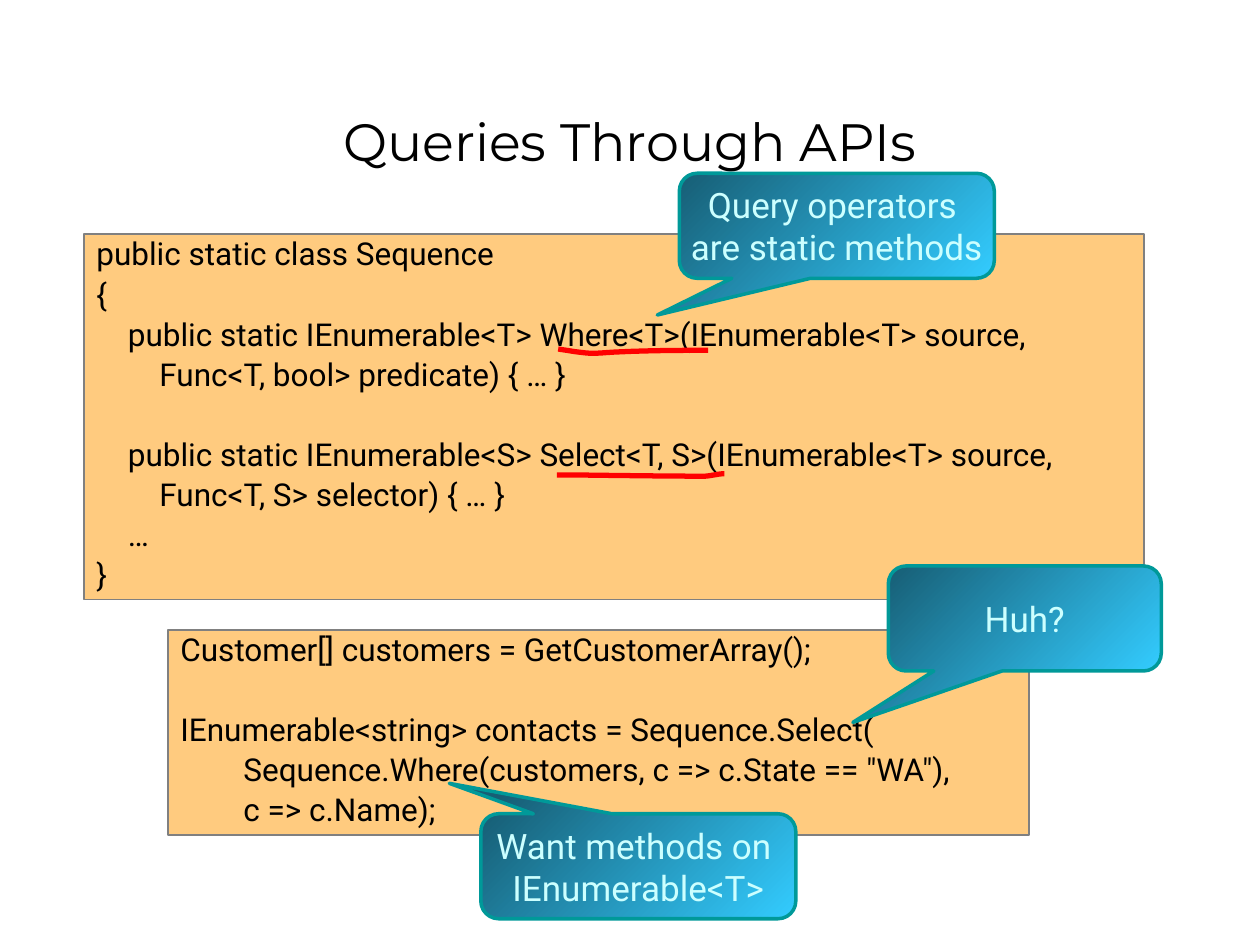
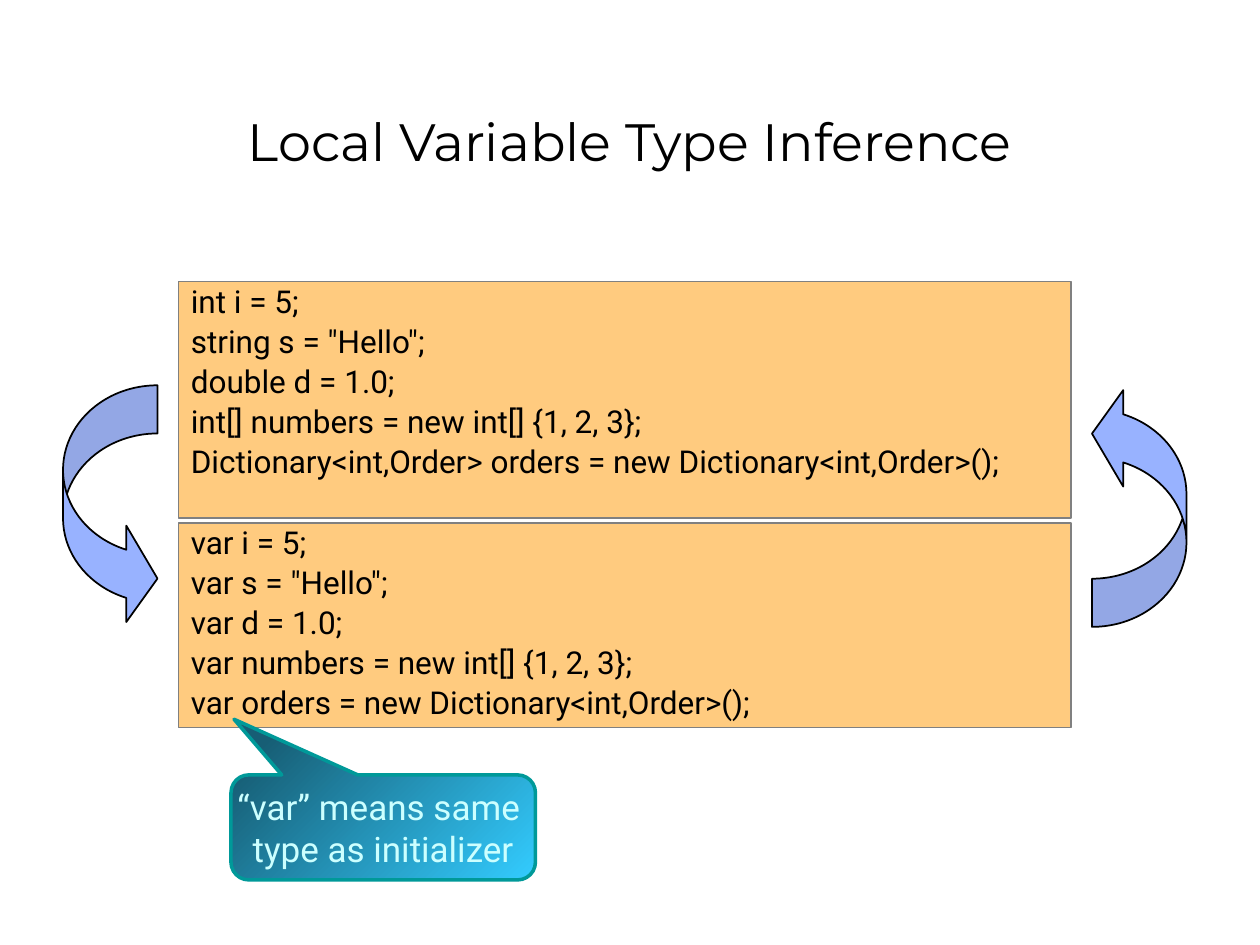
import pptx
import pptx.util
import pptx.dml.color
import pptx.enum.shapes
import pptx.enum.text
import pptx.oxml
import pptx.oxml.ns

Pt = pptx.util.Pt
Rgb = pptx.dml.color.RGBColor.from_string
Kind = pptx.enum.shapes.MSO_SHAPE
Align = pptx.enum.text.PP_ALIGN
Mid = pptx.enum.text.MSO_ANCHOR.MIDDLE
Top = pptx.enum.text.MSO_ANCHOR.TOP

hues = {"ink": "000000", "code": "FF9900", "edge": "808080", "mark": "FF0000",
        "arrow": "3366FF", "light": "33CCFF", "dark": "175E75",
        "rim": "009999", "note": "CCFFFF"}

deck = pptx.Presentation()
deck.slide_width = pptx.util.Inches(10)
deck.slide_height = pptx.util.Inches(7.5)
cell = deck.slide_width / 120
level = 3 * cell
blank = 22.8

pages = [
    {
        "title": "Queries Through APIs",
        "code": [
            ((8, 22.3, 101, 34.8), [
                (0, "public static class Sequence"),
                (0, "{"),
                (1, "public static IEnumerable<T> Where<T>(IEnumerable<T> source,"),
                (2, "Func<T, bool> predicate) { … }"),
                (0, ""),
                (1, "public static IEnumerable<S> Select<T, S>(IEnumerable<T> source,"),
                (2, "Func<T, S> selector) { … }"),
                (1, "…"),
                (0, "}")]),
            ((16, 60, 82, 19.5), [
                (0, "Customer[] customers = GetCustomerArray();"),
                (0, ""),
                (0, "IEnumerable<string> contacts = Sequence.Select("),
                (2, "Sequence.Where(customers, c => c.State == \"WA\"),"),
                (2, "c => c.Name);")]),
        ],
        "marks": [
            [[(53.16, 33.24), (58.56, 34.08), (53.88, 33.36), (67.44, 33.36)]],
            [[(53.04, 45.24), (57.72, 45.24), (62.28, 45.36), (66.96, 45.36)],
             [(66.96, 45.36), (67.68, 45.36), (68.28, 45.12), (69, 45.12)]],
        ],
        "arrows": [],
        "notes": [
            ((64.7, 16.5, 30, 10), (-0.57, 0.85), ["Query operators ", "are static methods"]),
            ((84.6, 53.9, 26, 10), (-0.63, 0.99), ["Huh?"]),
            ((45.8, 77.5, 30, 10), (-0.6, -0.79), ["Want methods on ", "IEnumerable<T>"]),
        ],
    },
    {
        "title": "Local Variable Type Inference",
        "code": [
            ((17, 26.8, 85, 22.5), [
                (0, "int i = 5;"),
                (0, "string s = \"Hello\";"),
                (0, "double d = 1.0;"),
                (0, "int[] numbers = new int[] {1, 2, 3};"),
                (0, "Dictionary<int,Order> orders = new Dictionary<int,Order>();")]),
            ((17, 49.8, 85, 19.5), [
                (0, "var i = 5;"),
                (0, "var s = \"Hello\";"),
                (0, "var d = 1.0;"),
                (0, "var numbers = new int[] {1, 2, 3};"),
                (0, "var orders = new Dictionary<int,Order>();")]),
        ],
        "marks": [],
        "arrows": [(6, 0), (104, 180)],
        "notes": [
            ((22, 73.8, 29, 10), (-0.49, -1.03), ["“var” means same ", "type as initializer"]),
        ],
    },
]


def draw(page, kind, box, line, width, fill=None):
    shape = page.shapes.add_shape(kind, *[round(n * cell) for n in box])
    shape.shadow.inherit = False
    shape.line.color.rgb = Rgb(hues[line])
    shape.line.width = Pt(width)
    if fill:
        shape.fill.solid()
        shape.fill.fore_color.rgb = Rgb(hues[fill])
        tint = shape.fill._xPr.find(".//" + pptx.oxml.ns.qn("a:srgbClr"))
        alpha = tint.makeelement(pptx.oxml.ns.qn("a:alpha"), {"val": "50000"})
        tint.append(alpha)
    return shape


def write(shape, rows, face, size, hue, align, anchor, wrap=True, lead=1.0, gap=0):
    frame = shape.text_frame
    frame.word_wrap = wrap
    frame.vertical_anchor = anchor
    para, extra = frame.paragraphs[0], 0
    for depth, text in rows:
        if not text:
            extra = blank
            continue
        if para.runs:
            para = frame.add_paragraph()
        para.text = text
        para.alignment = align
        para.line_spacing = lead
        para.space_before = Pt(gap + extra)
        para.font.name = face
        para.font.size = Pt(size)
        para.font.color.rgb = Rgb(hues[hue])
        if depth:
            para._p.get_or_add_pPr().set("marL", str(round(depth * level)))
        extra = 0


for data in pages:
    page = deck.slides.add_slide(deck.slide_layouts[6])

    head = page.shapes.add_textbox(0, round(6.4 * cell), deck.slide_width, round(15 * cell))
    write(head, [(0, data["title"])], "Montserrat", 30, "ink", Align.CENTER, Mid, lead=0.8)

    for box, rows in data["code"]:
        panel = draw(page, Kind.RECTANGLE, box, "edge", 1, "code")
        write(panel, rows, "Roboto", 18, "ink", Align.LEFT, Top, lead=0.85, gap=4.5)

    for curves in data["marks"]:
        dots = []
        for a, b, c, d in curves:
            for step in range(17):
                t = step / 16
                u = 1 - t
                dots.append([100 * (u**3 * p + 3 * u * u * t * q + 3 * u * t * t * r + t**3 * s)
                             for p, q, r, s in zip(a, b, c, d)])
        pen = page.shapes.build_freeform(*dots[0], scale=cell / 100)
        pen.add_line_segments(dots[1:], close=False)
        mark = pen.convert_to_shape()
        mark.shadow.inherit = False
        mark.fill.background()
        mark.line.color.rgb = Rgb(hues["mark"])
        mark.line.width = Pt(3)

    for left, turn in data["arrows"]:
        arrow = draw(page, Kind.CURVED_RIGHT_ARROW, (left, 36.7, 9, 23), "ink", 1, "arrow")
        arrow.rotation = turn
        for spot, share in enumerate((0.51, 1.02, 0.33)):
            arrow.adjustments[spot] = share

    for box, tip, lines in data["notes"]:
        note = draw(page, Kind.ROUNDED_RECTANGULAR_CALLOUT, box, "rim", 2)
        for spot, share in enumerate((*tip, 0.17)):
            note.adjustments[spot] = share
        note.fill.gradient()
        note.fill.gradient_angle = 135
        for stop, place, hue in zip(note.fill.gradient_stops, (0, 1), ("light", "dark")):
            stop.position = place
            stop.color.rgb = Rgb(hues[hue])
        write(note, [(0, line) for line in lines], "Roboto", 20, "note",
              Align.CENTER, Mid, wrap=False)

deck.save("out.pptx")
